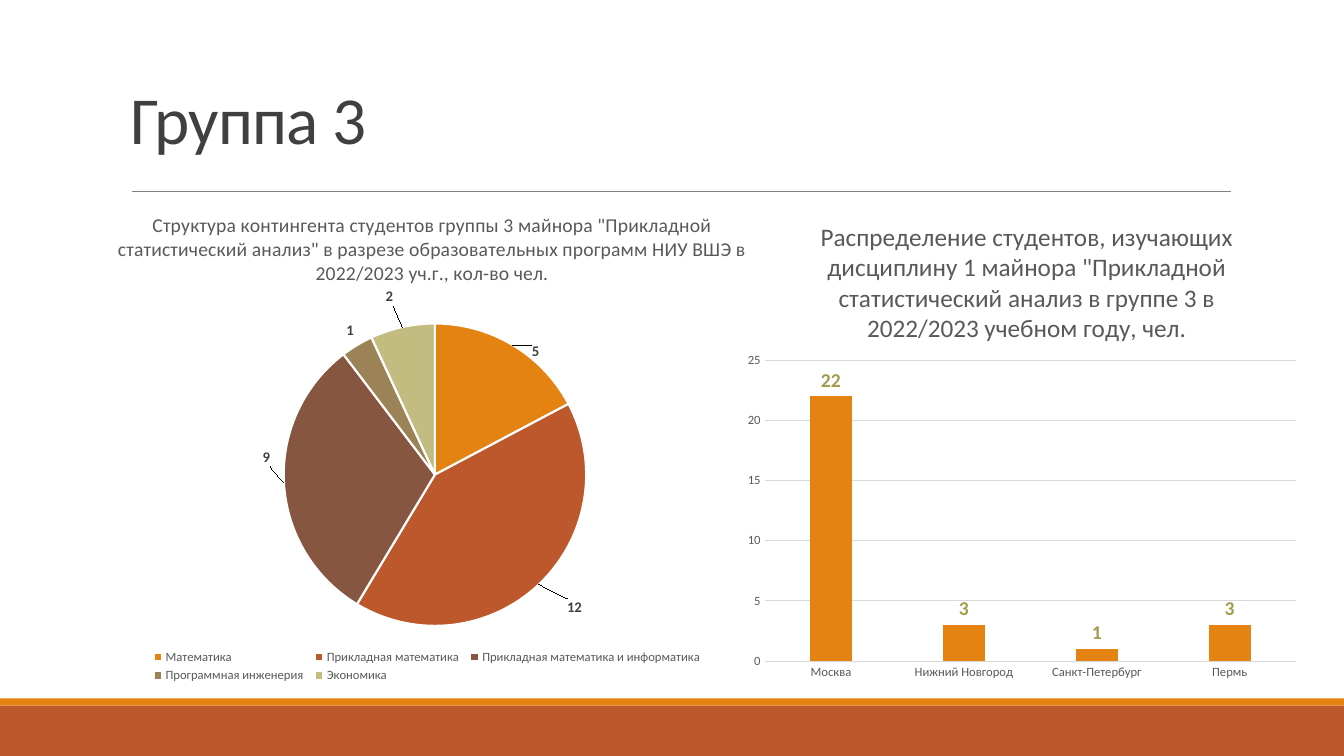
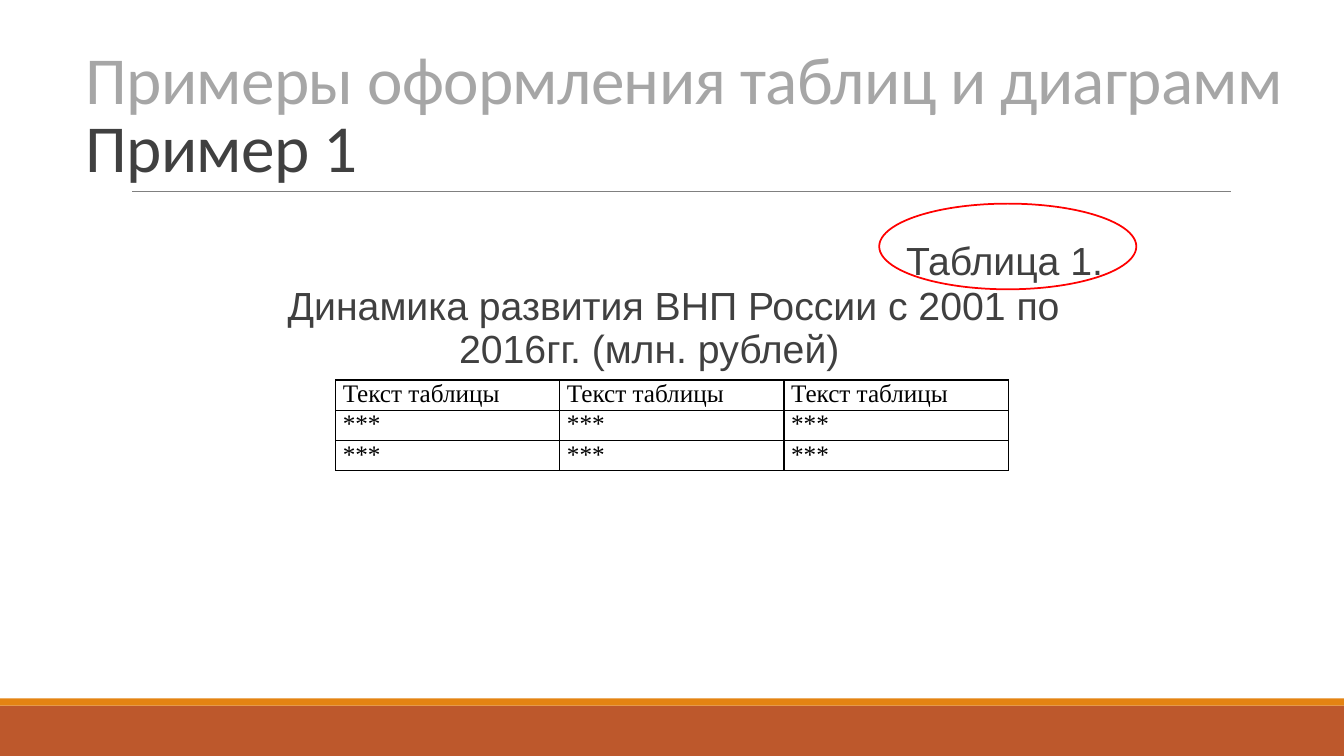
from dataclasses import dataclass

from lxml import etree
from pptx import Presentation
from pptx.chart.chart import Chart
from pptx.chart.data import CategoryChartData
from pptx.dml.color import RGBColor
from pptx.enum.chart import XL_CHART_TYPE as ChartType
from pptx.enum.chart import XL_LABEL_POSITION as LabelPosition
from pptx.enum.chart import XL_LEGEND_POSITION as LegendPosition
from pptx.enum.chart import XL_TICK_MARK as TickMark
from pptx.enum.shapes import MSO_CONNECTOR as Connector
from pptx.enum.shapes import MSO_SHAPE as ShapeKind
from pptx.enum.text import MSO_ANCHOR as Anchor
from pptx.enum.text import PP_ALIGN as Align
from pptx.oxml.ns import qn
from pptx.slide import Slide
from pptx.text.text import Font
from pptx.util import Inches, Pt

ORANGE = RGBColor(0xE4, 0x83, 0x12)
RUST = RGBColor(0xBD, 0x58, 0x2C)
BROWN = RGBColor(0x86, 0x56, 0x40)
KHAKI = RGBColor(0x9B, 0x83, 0x57)
SAND = RGBColor(0xC2, 0xBC, 0x80)
OLIVE = RGBColor(0xA3, 0x9B, 0x4E)
DARK = RGBColor(0x40, 0x40, 0x40)
CHART_TEXT = RGBColor(0x59, 0x59, 0x59)
RULE = RGBColor(0x80, 0x80, 0x80)
MUTED = RGBColor(0xA6, 0xA6, 0xA6)
GRID = RGBColor(0xD9, 0xD9, 0xD9)
RED = RGBColor(0xFF, 0x00, 0x00)
BLACK = RGBColor(0x00, 0x00, 0x00)
WHITE = RGBColor(0xFF, 0xFF, 0xFF)
BODY_FONT = "Calibri"


@dataclass(frozen=True)
class Box:
    left: float
    top: float
    width: float
    height: float

    def lengths(self) -> tuple:
        return tuple(Inches(v) for v in (self.left, self.top, self.width, self.height))


@dataclass(frozen=True)
class Band:
    box: Box
    color: RGBColor


@dataclass(frozen=True)
class TitleLine:
    text: str
    color: RGBColor = DARK


@dataclass(frozen=True)
class ChartSpec:
    kind: ChartType
    box: Box
    title: str
    title_size: float
    title_at: tuple[float, float]
    plot_area: tuple[float, float, float, float]
    values: dict[str, int]


@dataclass(frozen=True)
class Slice:
    color: RGBColor
    label_shift: tuple[float, float]


BANDS = (
    Band(Box(0, 7, 13.33, 0.5), RUST),
    Band(Box(0, 6.93, 13.33, 0.07), ORANGE),
)
CITY_CHART = ChartSpec(
    ChartType.COLUMN_CLUSTERED,
    Box(7.3, 1.88, 5.67, 4.98),
    'Распределение студентов, изучающих дисциплину 1 майнора "Прикладной '
    "статистический анализ в группе 3 в 2022/2023 учебном году, чел.",
    18,
    (0.14, 0.05),
    (0.05, 0.34, 0.93, 0.6),
    {"Москва": 22, "Нижний Новгород": 3, "Санкт-Петербург": 1, "Пермь": 3},
)
PROGRAM_CHART = ChartSpec(
    ChartType.PIE,
    Box(0.26, 1.86, 7.95, 5),
    'Структура контингента студентов группы 3 майнора "Прикладной '
    'статистический анализ" в разрезе образовательных программ НИУ ВШЭ в '
    "2022/2023 уч.г., кол-во чел.",
    14,
    (0.11, 0.04),
    (0.32, 0.27, 0.38, 0.6),
    {
        "Математика": 5,
        "Прикладная математика": 12,
        "Прикладная математика и информатика": 9,
        "Программная инженерия": 1,
        "Экономика": 2,
    },
)
SLICES = (
    Slice(ORANGE, (0.02, 0.04)),
    Slice(RUST, (0.03, 0.02)),
    Slice(BROWN, (-0.01, -0.05)),
    Slice(KHAKI, (0, 0)),
    Slice(SAND, (-0.01, -0.03)),
)
TABLE_ROWS = (("Текст таблицы",) * 3, ("***",) * 3, ("***",) * 3)


def style_font(font: Font, size: float, color: RGBColor, name: str = BODY_FONT, bold: bool = False) -> None:
    font.name = name
    font.size = Pt(size)
    font.color.rgb = color
    font.bold = bold


def make_layout(values: tuple, inner: bool = False) -> etree._Element:
    layout = etree.Element(qn("c:layout"))
    manual = etree.SubElement(layout, qn("c:manualLayout"))
    if inner:
        etree.SubElement(manual, qn("c:layoutTarget"), val="inner")
    if len(values) == 4:
        for tag in ("xMode", "yMode"):
            etree.SubElement(manual, qn(f"c:{tag}"), val="edge")
    for tag, value in zip("xywh", values):
        etree.SubElement(manual, qn(f"c:{tag}"), val=str(value))
    return layout


def replace_layout(parent: etree._Element, layout: etree._Element, after: str | None) -> None:
    for previous in parent.findall(qn("c:layout")):
        parent.remove(previous)
    if after is None:
        parent.insert(0, layout)
    else:
        parent.find(qn(after)).addnext(layout)


def add_title(slide: Slide, box: Box, lines: tuple[TitleLine, ...]) -> None:
    frame = slide.shapes.add_textbox(*box.lengths()).text_frame
    frame.word_wrap = True
    frame.vertical_anchor = Anchor.BOTTOM
    paragraph = frame.paragraphs[0]
    paragraph.line_spacing = 0.85
    for index, line in enumerate(lines):
        if index:
            paragraph.add_line_break()
        run = paragraph.add_run()
        run.text = line.text
        style_font(run.font, 48, line.color)
        run.font._element.set("spc", "-50")


def add_frame(slide: Slide) -> None:
    for band in BANDS:
        shape = slide.shapes.add_shape(ShapeKind.RECTANGLE, *band.box.lengths())
        shape.shadow.inherit = False
        shape.fill.solid()
        shape.fill.fore_color.rgb = band.color
        shape.line.fill.background()
    rule = slide.shapes.add_connector(
        Connector.STRAIGHT, Inches(1.31), Inches(1.9), Inches(12.21), Inches(1.9)
    )
    rule.line.color.rgb = RULE
    rule.line.width = Pt(0.5)
    etree.SubElement(rule._element.spPr, qn("a:effectLst"))


def add_chart(slide: Slide, spec: ChartSpec) -> Chart:
    data = CategoryChartData()
    data.categories = list(spec.values)
    data.add_series("Series 1", list(spec.values.values()))
    chart = slide.shapes.add_chart(spec.kind, *spec.box.lengths(), data).chart
    style_font(chart.font, 10, BLACK)
    chart.has_legend = False
    chart.has_title = True
    paragraph = chart.chart_title.text_frame.paragraphs[0]
    paragraph.text = spec.title
    style_font(paragraph.font, spec.title_size, CHART_TEXT)
    title_layout = make_layout(spec.title_at)
    for position, tag in enumerate(("xMode", "yMode")):
        mode = etree.Element(qn(f"c:{tag}"), val="edge")
        title_layout[0].insert(position, mode)
    replace_layout(chart.chart_title._element, title_layout, "c:tx")
    plot_area = chart._chartSpace.chart.plotArea
    replace_layout(plot_area, make_layout(spec.plot_area, inner=True), None)
    return chart


def add_city_chart(slide: Slide) -> None:
    chart = add_chart(slide, CITY_CHART)
    plot = chart.plots[0]
    plot.gap_width = 219
    plot.overlap = -27
    plot.vary_by_categories = False
    series = plot.series[0]
    series.format.fill.solid()
    series.format.fill.fore_color.rgb = ORANGE
    labels = series.data_labels
    labels.show_value = True
    labels.position = LabelPosition.OUTSIDE_END
    style_font(labels.font, 14, OLIVE, bold=True)
    for axis in (chart.category_axis, chart.value_axis):
        axis.major_tick_mark = axis.minor_tick_mark = TickMark.NONE
        style_font(axis.tick_labels.font, 9, CHART_TEXT)
    value_axis = chart.value_axis
    value_axis.minimum_scale = 0
    value_axis.maximum_scale = 25
    value_axis.major_unit = 5
    value_axis.format.line.fill.background()
    for line in (chart.category_axis.format.line, value_axis.major_gridlines.format.line):
        line.color.rgb = GRID
        line.width = Pt(0.75)


def add_program_chart(slide: Slide) -> None:
    chart = add_chart(slide, PROGRAM_CHART)
    plot = chart.plots[0]
    plot.vary_by_categories = True
    series = plot.series[0]
    labels = series.data_labels
    labels.show_value = True
    labels.position = LabelPosition.OUTSIDE_END
    style_font(labels.font, 10.5, DARK, bold=True)
    for index, part in enumerate(SLICES):
        point = series.points[index]
        point.format.fill.solid()
        point.format.fill.fore_color.rgb = part.color
        point.format.line.color.rgb = WHITE
        point.format.line.width = Pt(1.5)
        label = point.data_label
        style_font(label.font, 10.5, DARK, bold=True)
        label.position = LabelPosition.OUTSIDE_END
        if any(part.label_shift):
            element = labels._element.findall(qn("c:dLbl"))[index]
            replace_layout(element, make_layout(part.label_shift), "c:idx")
    chart.has_legend = True
    legend = chart.legend
    legend.position = LegendPosition.BOTTOM
    legend.include_in_layout = False
    style_font(legend.font, 9, CHART_TEXT)
    replace_layout(legend._element, make_layout((0.15, 0.91, 0.7, 0.08)), "c:legendPos")


def add_caption(slide: Slide) -> None:
    frame = slide.shapes.add_textbox(*Box(1.94, 2.4, 9, 1.97).lengths()).text_frame
    frame.word_wrap = True
    frame.margin_left = frame.margin_right = frame.margin_top = frame.margin_bottom = 0
    lines = (
        ("Таблица 1.", Align.RIGHT),
        ("Динамика развития ВНП России с 2001 по 2016гг. (млн. рублей)", Align.CENTER),
    )
    for index, (text, alignment) in enumerate(lines):
        paragraph = frame.add_paragraph() if index else frame.paragraphs[0]
        paragraph.text = text
        paragraph.alignment = alignment
        paragraph.line_spacing = 0.9
        paragraph.space_after = Pt(2)
        paragraph._p.get_or_add_pPr().set("indent", str(Inches(0.48)))
        style_font(paragraph.font, 28, DARK, "Arial")


def add_table(slide: Slide) -> None:
    box = Box(3.33, 3.77, 6.67, 0.9)
    table = slide.shapes.add_table(len(TABLE_ROWS), len(TABLE_ROWS[0]), *box.lengths()).table
    table.first_row = table.horz_banding = False
    for row, texts in enumerate(TABLE_ROWS):
        for column, text in enumerate(texts):
            cell = table.cell(row, column)
            cell.margin_left = cell.margin_right = Inches(0.07)
            cell.margin_top = cell.margin_bottom = 0
            properties = cell._tc.get_or_add_tcPr()
            for side in ("lnL", "lnR", "lnT", "lnB"):
                border = etree.SubElement(properties, qn(f"a:{side}"), w=str(Pt(1)))
                fill = etree.SubElement(border, qn("a:solidFill"))
                etree.SubElement(fill, qn("a:srgbClr"), val=str(BLACK))
            cell.fill.background()
            paragraph = cell.text_frame.paragraphs[0]
            paragraph.text = text
            paragraph.alignment = Align.JUSTIFY
            style_font(paragraph.font, 18, BLACK, "Times New Roman")


def add_highlight(slide: Slide) -> None:
    ellipse = slide.shapes.add_shape(ShapeKind.OVAL, *Box(8.72, 2.02, 2.55, 0.85).lengths())
    ellipse.shadow.inherit = False
    ellipse.fill.background()
    ellipse.line.color.rgb = RED
    ellipse.line.width = Pt(1.25)


def main() -> None:
    presentation = Presentation()
    presentation.slide_width = Inches(13.33)
    presentation.slide_height = Inches(7.5)
    group, example = (presentation.slides.add_slide(presentation.slide_layouts[6]) for _ in range(2))
    add_frame(group)
    add_title(group, Box(1.2, 0.31, 11, 1.31), (TitleLine("Группа 3"),))
    add_city_chart(group)
    add_program_chart(group)
    add_frame(example)
    title = (TitleLine("Примеры оформления таблиц и диаграмм", MUTED), TitleLine("Пример 1"))
    add_title(example, Box(0.75, 0.31, 12.22, 1.59), title)
    add_caption(example)
    add_table(example)
    add_highlight(example)
    presentation.save("out.pptx")


if __name__ == "__main__":
    main()
